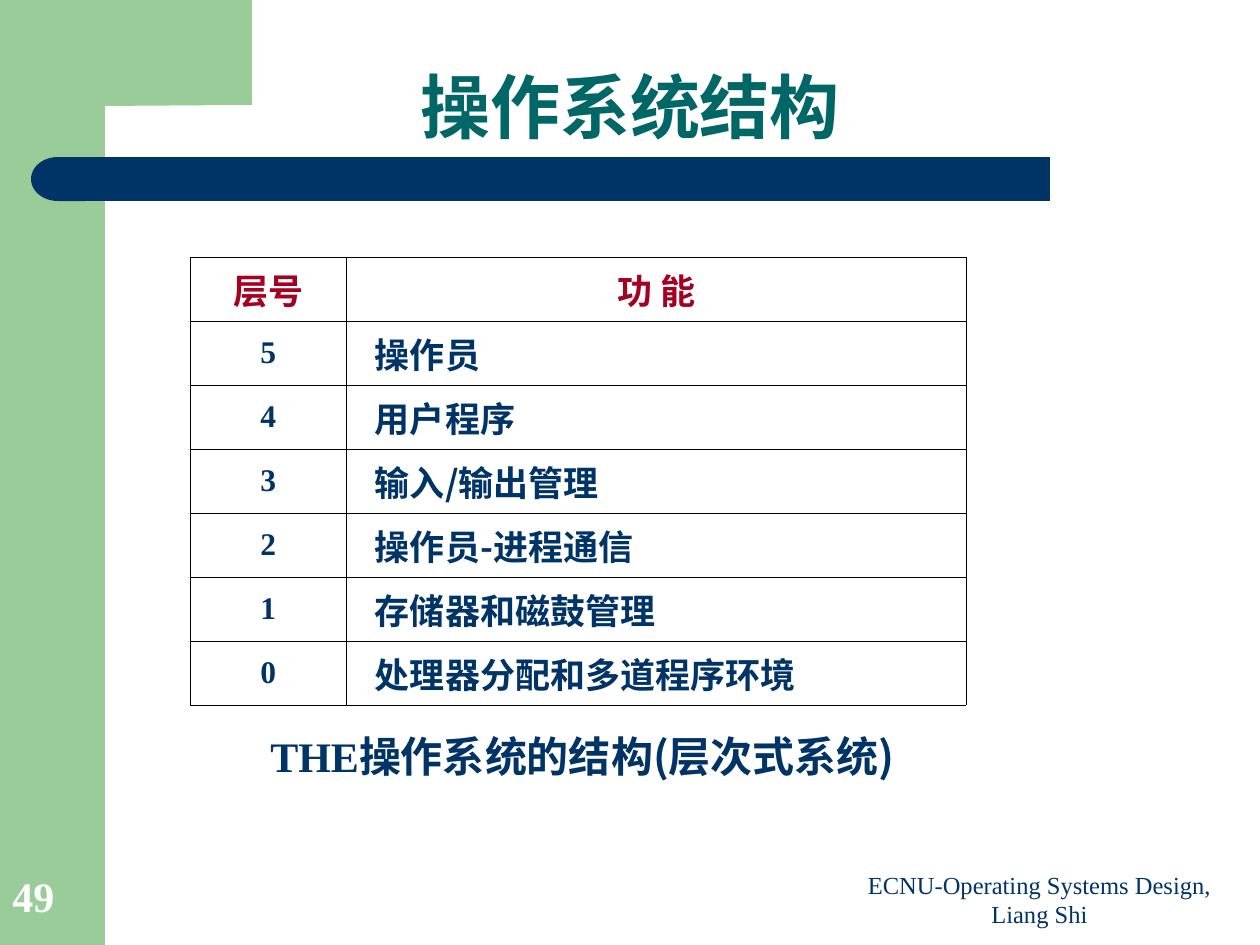
"""Build the slide on the layered structure of the THE operating system."""
from lxml import etree
from pptx import Presentation
from pptx.dml.color import RGBColor
from pptx.enum.shapes import MSO_SHAPE
from pptx.enum.text import MSO_ANCHOR, PP_ALIGN
from pptx.oxml.ns import qn
from pptx.util import Emu, Pt

RECTANGLE, DELAY = MSO_SHAPE.RECTANGLE, MSO_SHAPE.FLOWCHART_DELAY
TOP, MIDDLE, BOTTOM = MSO_ANCHOR.TOP, MSO_ANCHOR.MIDDLE, MSO_ANCHOR.BOTTOM
LEFT, CENTER = PP_ALIGN.LEFT, PP_ALIGN.CENTER
PX = 914400 / 126
COLORS = {"rail": "99CC99", "navy": "003366", "title": "006666",
          "header": "A50021", "grid": "000000", "white": "FFFFFF"}
SERIF, SANS, HAN = "Times New Roman", "Arial", "Noto Sans CJK SC"
LAYERS = ["处理器分配和多道程序环境", "存储器和磁鼓管理", "操作员-进程通信",
          "输入/输出管理", "用户程序", "操作员"]


def px(length):
    return Emu(round(length * PX))


def rgb(name):
    return RGBColor.from_string(COLORS[name])


class SlideBuilder:
    """Holds the deck style and the current slide."""

    def __init__(self, width, height):
        self.deck = Presentation()
        self.deck.slide_width, self.deck.slide_height = px(width), px(height)
        self.slide = self.deck.slides.add_slide(self.deck.slide_layouts[6])
        self.shapes = self.slide.shapes

    def paint(self, shape, color):
        shape.shadow.inherit = False
        shape.fill.solid()
        shape.fill.fore_color.rgb = rgb(color)
        shape.line.fill.background()

    def block(self, kind, box, color, rotation=0):
        shape = self.shapes.add_shape(kind, *map(px, box))
        shape.rotation = rotation
        self.paint(shape, color)

    def outline(self, points, color):
        builder = self.shapes.build_freeform(*points[0], scale=PX)
        builder.add_line_segments(points[1:])
        self.paint(builder.convert_to_shape(), color)

    def style(self, run, font, size, color, bold):
        run.font.size, run.font.bold, run.font.name = Pt(size), bold, font
        run.font.color.rgb = rgb(color)
        properties = run.font._element
        etree.SubElement(properties, qn("a:ea")).set("typeface", HAN)

    def text(self, box, parts, size, color, bold=True, align=CENTER,
             anchor=BOTTOM, spacing=1.0):
        frame = self.shapes.add_textbox(*map(px, box)).text_frame
        frame.word_wrap, frame.vertical_anchor = True, anchor
        paragraph = frame.paragraphs[0]
        paragraph.alignment, paragraph.line_spacing = align, spacing
        for words, font in parts:
            run = paragraph.add_run()
            run.text = words
            self.style(run, font, size, color, bold)

    def cell(self, cell, words, font, size, color, align, indent):
        cell.vertical_anchor, cell.margin_left = MIDDLE, px(indent)
        paragraph = cell.text_frame.paragraphs[0]
        paragraph.text, paragraph.alignment = words, align
        self.style(paragraph.runs[0], font, size, color, True)
        properties = cell._tc.get_or_add_tcPr()
        for side in ("lnL", "lnR", "lnT", "lnB"):
            border = etree.SubElement(properties, qn(f"a:{side}"), w="5715")
            fill = etree.SubElement(border, qn("a:solidFill"))
            etree.SubElement(fill, qn("a:srgbClr"), val=COLORS["grid"])
        cell.fill.background()

    def layer_table(self, left, top, widths, row_height, header, layers):
        count = len(layers) + 1
        table = self.shapes.add_table(
            count, len(widths), px(left), px(top),
            px(sum(widths)), px(row_height * count)).table
        table.first_row = table.horz_banding = False
        for column, width in zip(table.columns, widths):
            column.width = px(width)
        for row in table.rows:
            row.height = px(row_height)
        for column, words in enumerate(header):
            self.cell(table.cell(0, column), words, HAN, 20, "header", CENTER, 13)
        for row in range(1, count):
            number = len(layers) - row
            self.cell(table.cell(row, 0), str(number), SERIF, 18, "navy", CENTER, 13)
            self.cell(table.cell(row, 1), layers[number], HAN, 20, "navy", LEFT, 29)

    def save(self):
        self.deck.save("out.pptx")


def main():
    page = SlideBuilder(1260, 945)
    page.block(RECTANGLE, (0, 0, 105, 945), "rail")
    page.outline([(63, 0), (252, 0), (252, 105), (105, 106), (97, 107), (89, 116),
                  (86, 131), (84, 146), (84, 161), (63, 161)], "rail")
    page.block(RECTANGLE, (84, 157, 966, 44), "navy")
    page.block(DELAY, (31, 157, 54, 44), "navy", rotation=180)
    page.text((10, 18, 1240, 137), [("操作系统结构", SANS)], 40, "title", spacing=0.9)
    page.text((220, 724, 725, 84), [("THE", SERIF), ("操作系统的结构(层次式系统)", HAN)],
              24, "navy", anchor=TOP)
    page.layer_table(190, 257, (156, 620), 64, ("层号", "功 能"), LAYERS)
    page.text((840, 869, 399, 66), [("ECNU-Operating Systems Design, Liang Shi", SERIF)],
              14, "navy", bold=False)
    page.text((0, 861, 103, 67), [("49", SERIF)], 24, "white", align=LEFT, spacing=0.9)
    page.save()


if __name__ == "__main__":
    main()
